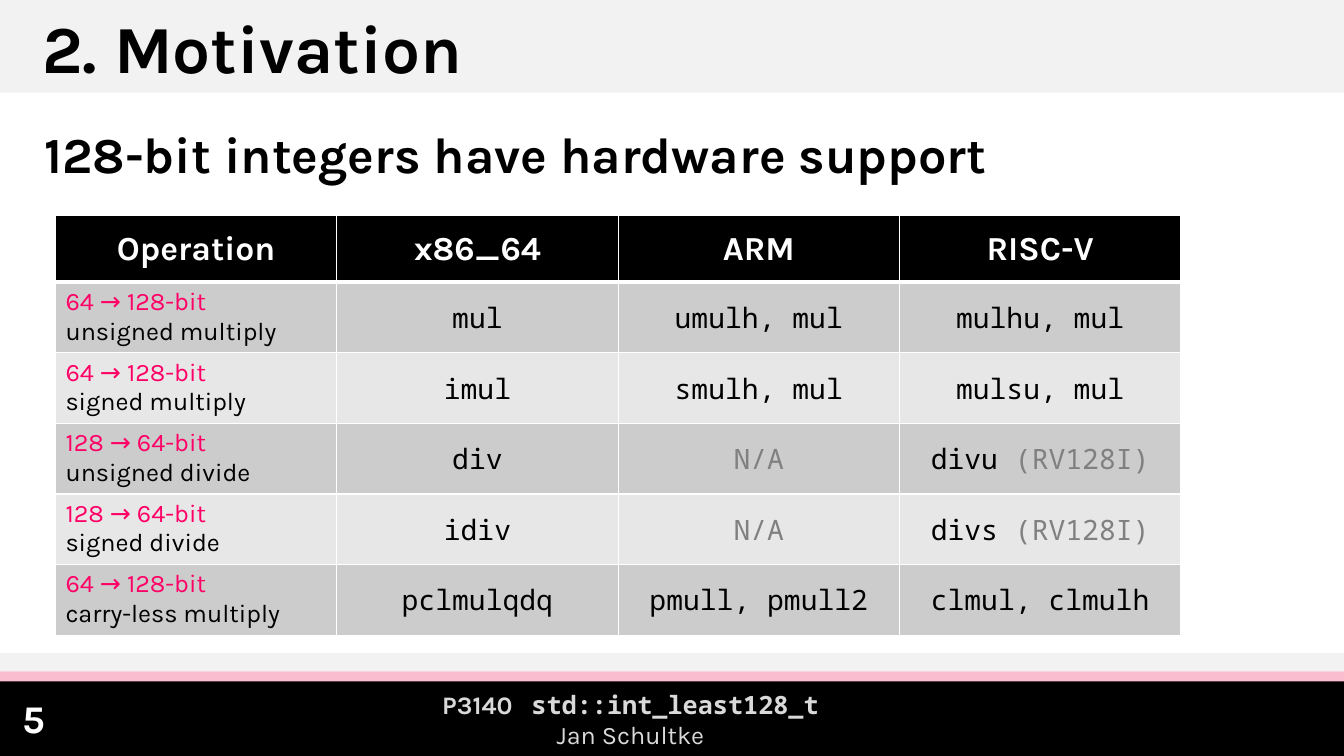
from lxml import etree
from pptx import Presentation
from pptx import util as u
from pptx.dml.color import RGBColor
from pptx.enum import shapes, text
from pptx.oxml.ns import qn

UNIT = 76200  # the slide is a grid of 160 columns by 90 rows
COLUMNS, ROWS = 160, 90
SANS, MONO = "Karla", "Noto Sans Mono"
BLACK, WHITE, GREY, PINK = "000000", "FFFFFF", "808080", "FF0066"
PALE, ROSE, SILVER = "F2F2F2", "FABCCF", "D9D9D9"
STRIPES = ("CCCCCC", "E7E7E7")
LEFT, CENTER, RIGHT = text.PP_ALIGN.LEFT, text.PP_ALIGN.CENTER, text.PP_ALIGN.RIGHT
TOP, MIDDLE = text.MSO_ANCHOR.TOP, text.MSO_ANCHOR.MIDDLE


def grid(*lengths):
    return [u.Emu(round(length * UNIT)) for length in lengths]


def color(hex_value):
    return RGBColor.from_string(hex_value)


def run(words, size, ink=BLACK, font=SANS, bold=False, spacing=0):
    return words, size, ink, font, bold, spacing


class Deck:
    def __init__(self):
        self.file = Presentation()
        self.file.slide_width, self.file.slide_height = grid(COLUMNS, ROWS)
        self.slide = self.file.slides.add_slide(self.file.slide_layouts[6])

    def band(self, top, height, fill):
        band = self.slide.shapes.add_shape(
            shapes.MSO_SHAPE.RECTANGLE, *grid(0, top, COLUMNS, height))
        band.shadow.inherit = False
        band.fill.solid()
        band.fill.fore_color.rgb = color(fill)
        band.line.fill.background()

    def add_lines(self, frame, lines, align):
        for index, line in enumerate(lines):
            paragraph = frame.add_paragraph() if index else frame.paragraphs[0]
            paragraph.alignment = align
            for words, size, ink, font, bold, spacing in line:
                part = paragraph.add_run()
                part.text = words
                part.font.size = u.Pt(size)
                part.font.name = font
                part.font.bold = bold
                part.font.color.rgb = color(ink)
                if spacing:
                    part._r.get_or_add_rPr().set("spc", str(spacing * 100))

    def label(self, place, lines, align=LEFT, anchor=TOP, grow=True):
        frame = self.slide.shapes.add_textbox(*grid(*place)).text_frame
        frame.word_wrap = True
        frame.vertical_anchor = anchor
        if grow:
            frame.auto_size = text.MSO_AUTO_SIZE.SHAPE_TO_FIT_TEXT
        self.add_lines(frame, lines, align)

    def table(self, left, top, column_width, row_heights, column_count):
        table = self.slide.shapes.add_table(
            len(row_heights), column_count,
            *grid(left, top, column_width * column_count, sum(row_heights))).table
        for column in table.columns:
            column.width = grid(column_width)[0]
        for row, height in zip(table.rows, row_heights):
            row.height = grid(height)[0]
        return table

    def cell(self, cell, lines, fill, align=CENTER, anchor=MIDDLE, top=1, bottom=1):
        properties = cell._tc.get_or_add_tcPr()
        for side, width in (("L", 1), ("R", 1), ("T", top), ("B", bottom)):
            border = etree.SubElement(properties, qn("a:ln" + side), w=str(u.Pt(width)))
            solid = etree.SubElement(border, qn("a:solidFill"))
            etree.SubElement(solid, qn("a:srgbClr"), val=WHITE)
        cell.fill.solid()
        cell.fill.fore_color.rgb = color(fill)
        cell.vertical_anchor = anchor
        self.add_lines(cell.text_frame, lines, align)


HEADINGS = ("Operation", "x86_64", "ARM", "RISC-V")
WIDEN, NARROW = "64 → 128-bit", "128 → 64-bit"
# Conversion, operation, then instruction and muted remark per architecture
OPERATIONS = (
    (WIDEN, "unsigned multiply", ("mul", ""), ("umulh, mul", ""), ("mulhu, mul", "")),
    (WIDEN, "signed multiply", ("imul", ""), ("smulh, mul", ""), ("mulsu, mul", "")),
    (NARROW, "unsigned divide", ("div", ""), ("", "N/A"), ("divu ", "(RV128I)")),
    (NARROW, "signed divide", ("idiv", ""), ("", "N/A"), ("divs ", "(RV128I)")),
    (WIDEN, "carry-less multiply", ("pclmulqdq", ""), ("pmull, pmull2", ""),
     ("clmul, clmulh", "")),
)


def main():
    deck = Deck()

    # Header and footer bands
    for top, height, fill in ((0, 11.04, PALE), (81, 9, BLACK),
                              (79.92, 1.2, ROSE), (77.76, 2.1, PALE)):
        deck.band(top, height, fill)

    # Slide number, title and subtitle
    deck.label((1.2, 83.04, 5.4, 4.8), [[run("5", 28, WHITE, bold=True)]],
               RIGHT, MIDDLE, grow=False)
    deck.label((3.84, 0.12, 138.5, 10.92), [[run("2. Motivation", 48, bold=True)]])
    deck.label((4.08, 14.04, 140.16, 8.52),
               [[run("128-bit integers have hardware support", 36, bold=True)]])

    # Footer text
    deck.label((17.52, 81.48, 115.08, 8.52), [
        [run("P3140", 18, SILVER, bold=True),
         run(" ", 18, SILVER, bold=True, spacing=9),
         run("std::int_least128_t", 18, SILVER, MONO, True)],
        [run("Jan Schultke", 18, SILVER)],
    ], CENTER)

    # Instruction table
    support = deck.table(6.6, 25.68, 33.5, [7.92] + [8.4] * len(OPERATIONS),
                         len(HEADINGS))
    for column, heading in enumerate(HEADINGS):
        deck.cell(support.cell(0, column), [[run(heading, 24, WHITE, bold=True)]],
                  BLACK, bottom=3)
    for row, (conversion, operation, *instructions) in enumerate(OPERATIONS, 1):
        stripe = STRIPES[(row - 1) % 2]
        top = 3 if row == 1 else 1
        deck.cell(support.cell(row, 0),
                  [[run(conversion, 18, PINK)], [run(operation, 18)]],
                  stripe, LEFT, TOP, top)
        for column, (instruction, remark) in enumerate(instructions, 1):
            parts = [run(words, 20, ink, MONO)
                     for words, ink in ((instruction, BLACK), (remark, GREY)) if words]
            deck.cell(support.cell(row, column), [parts], stripe, top=top)

    deck.file.save("out.pptx")


if __name__ == "__main__":
    main()
